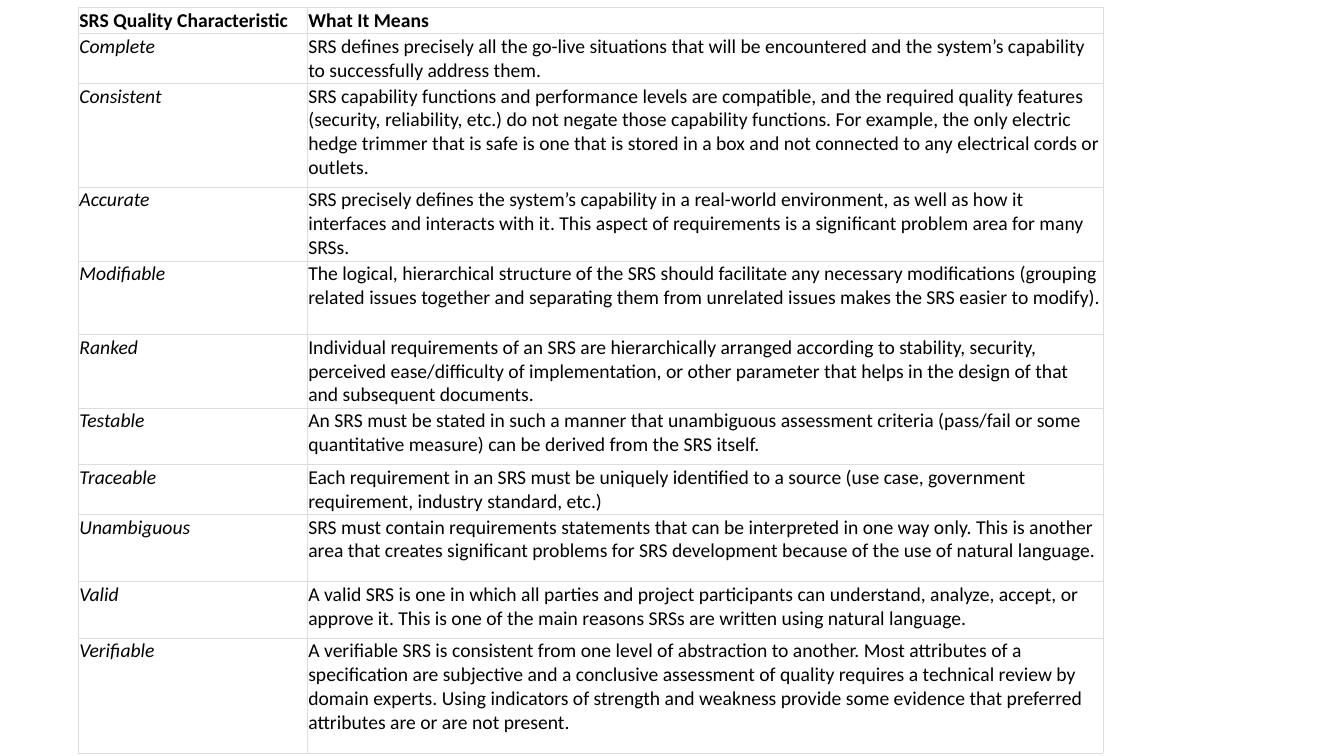
"""Build a slide with a table of SRS quality characteristics."""
from lxml.etree import SubElement
from pptx import Presentation
from pptx.dml.color import RGBColor
from pptx.oxml.ns import qn
from pptx.util import Pt

HEADER = ("SRS Quality Characteristic", "What It Means", 18)
CHARACTERISTICS = [
    ("Complete", "SRS defines precisely all the go-live situations that will be encountered and the "
     "system’s capability to successfully address them.", 35),
    ("Consistent", "SRS capability functions and performance levels are compatible, and the required "
     "quality features (security, reliability, etc.) do not negate those capability functions. "
     "For example, the only electric hedge trimmer that is safe is one that is stored in a box "
     "and not connected to any electrical cords or outlets.", 74.2),
    ("Accurate", "SRS precisely defines the system’s capability in a real-world environment, as well "
     "as how it interfaces and interacts with it. This aspect of requirements is a significant "
     "problem area for many SRSs.", 52.4),
    ("Modifiable", "The logical, hierarchical structure of the SRS should facilitate any necessary "
     "modifications (grouping related issues together and separating them from unrelated issues "
     "makes the SRS easier to modify).", 52.6),
    ("Ranked", "Individual requirements of an SRS are hierarchically arranged according to stability, "
     "security, perceived ease/difficulty of implementation, or other parameter that helps in "
     "the design of that and subsequent documents.", 52.4),
    ("Testable", "An SRS must be stated in such a manner that unambiguous assessment criteria "
     "(pass/fail or some quantitative measure) can be derived from the SRS itself.", 40.3),
    ("Traceable", "Each requirement in an SRS must be uniquely identified to a source (use case, "
     "government requirement, industry standard, etc.)", 35.5),
    ("Unambiguous", "SRS must contain requirements statements that can be interpreted in one way "
     "only. This is another area that creates significant problems for SRS development because "
     "of the use of natural language.", 48.2),
    ("Valid", "A valid SRS is one in which all parties and project participants can understand, "
     "analyze, accept, or approve it. This is one of the main reasons SRSs are written using "
     "natural language.", 40.3),
    ("Verifiable", "A verifiable SRS is consistent from one level of abstraction to another. Most "
     "attributes of a specification are subjective and a conclusive assessment of quality "
     "requires a technical review by domain experts. Using indicators of strength and weakness "
     "provide some evidence that preferred attributes are or are not present.", 82.1),
]
COLUMN_WIDTHS = (163.5, 568.4)
LEFT, TOP = 56, 5.4
MARGIN = 0.75
INK, PAPER, RULE = "000000", "FFFFFF", "DDDDDD"


def paint(color, value):
    color.rgb = RGBColor.from_string(value)


def add_borders(cell):
    tcPr = cell._tc.get_or_add_tcPr()
    for i, side in enumerate(("lnL", "lnR", "lnT", "lnB")):
        ln = tcPr.makeelement(qn(f"a:{side}"), {"w": str(Pt(0.5))})
        fill = SubElement(ln, qn("a:solidFill"))
        SubElement(fill, qn("a:srgbClr"), val=RULE)
        tcPr.insert(i, ln)


def fill_cell(cell, text, bold, italic):
    cell.margin_left = cell.margin_right = Pt(MARGIN)
    cell.margin_top = cell.margin_bottom = Pt(MARGIN)
    cell.fill.solid()
    paint(cell.fill.fore_color, PAPER)
    add_borders(cell)
    cell.text_frame.text = text
    font = cell.text_frame.paragraphs[0].runs[0].font
    font.name, font.size = "Calibri", Pt(14)
    font.bold, font.italic = bold, italic
    paint(font.color, INK)


def main():
    prs = Presentation()
    prs.slide_width, prs.slide_height = Pt(960), Pt(540)
    s = prs.slides.add_slide(prs.slide_layouts[6])
    rows = [HEADER, *CHARACTERISTICS]
    height = sum(row[2] for row in rows)
    table = s.shapes.add_table(len(rows), len(COLUMN_WIDTHS), Pt(LEFT), Pt(TOP),
                               Pt(sum(COLUMN_WIDTHS)), Pt(height)).table
    for column, width in zip(table.columns, COLUMN_WIDTHS):
        column.width = Pt(width)
    for i, (name, meaning, row_height) in enumerate(rows):
        table.rows[i].height = Pt(row_height)
        fill_cell(table.cell(i, 0), name, i == 0, i > 0)
        fill_cell(table.cell(i, 1), meaning, i == 0, False)
    prs.save("out.pptx")


if __name__ == "__main__":
    main()
